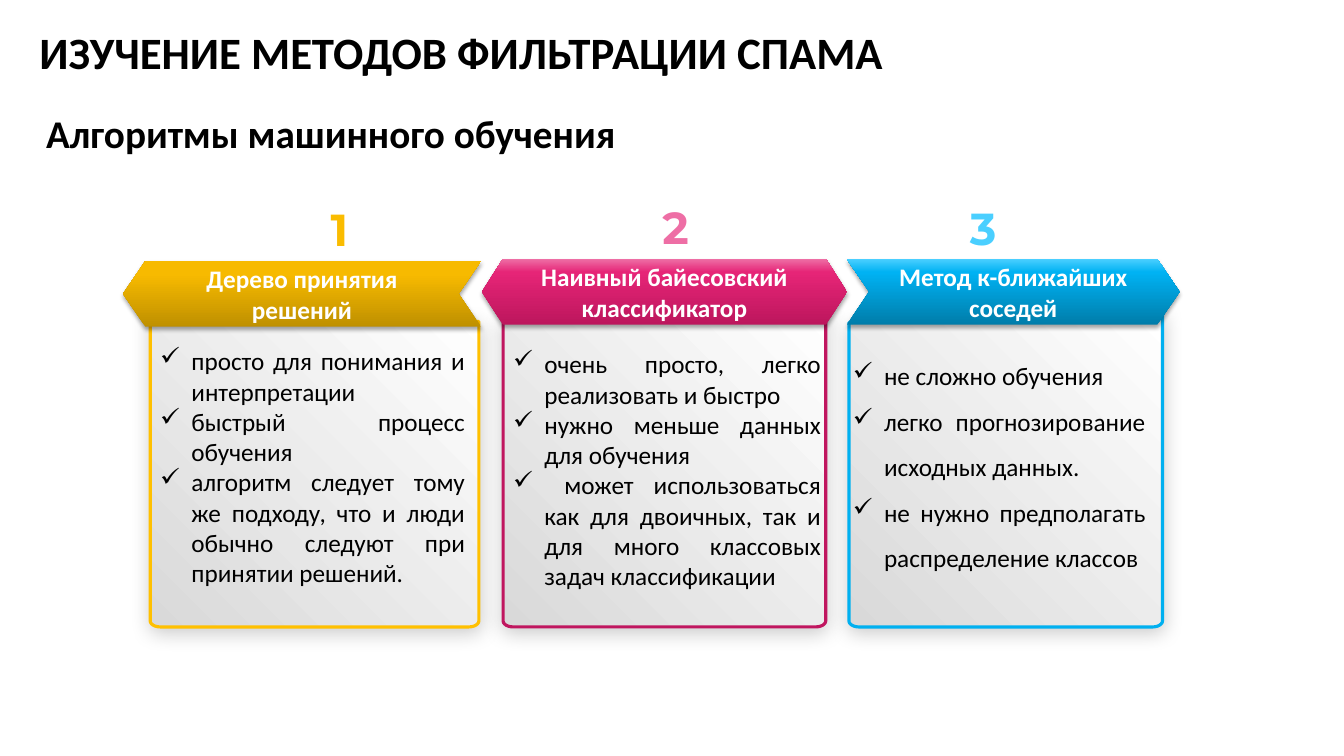
from dataclasses import dataclass
from math import cos, pi, sin

from lxml import etree
from pptx import Presentation
from pptx.dml.color import RGBColor
from pptx.enum.shapes import MSO_SHAPE
from pptx.enum.text import MSO_ANCHOR, PP_ALIGN
from pptx.oxml.ns import qn
from pptx.util import Inches, Pt

CHEVRON = MSO_SHAPE.CHEVRON
HEXAGON = MSO_SHAPE.HEXAGON
TOP = MSO_ANCHOR.TOP
MIDDLE = MSO_ANCHOR.MIDDLE
LEFT = PP_ALIGN.LEFT
CENTER = PP_ALIGN.CENTER
JUSTIFY = PP_ALIGN.JUSTIFY

HEADER_HEIGHT = 0.65
CARD_BOTTOM = 6.22
CARD_STOPS = [(0, "D9D9D9"), (100, "FFFFFF")]


@dataclass
class Method:
    number: str
    name: str
    points: list
    number_box: tuple
    header_box: tuple
    card_box: tuple
    points_box: tuple
    header_shape: int
    header_adjustment: float
    header_stops: list
    outline: str
    flipped: bool = False
    line_spacing: float = 1.0


METHODS = [
    Method(
        "1", "Дерево принятия решений",
        ["просто для понимания и интерпретации",
         "быстрый процесс обучения",
         "алгоритм следует тому же подходу, что и люди обычно следуют при принятии решений."],
        (3.18, 1.95, 0.39), (1.22, 2.59, 3.55), (1.49, 4.75, 3.08, 3.19),
        (1.49, 3.38, 3.22, 2.52), CHEVRON, 0.34,
        [(0, "BF9000"), (80, "F7BA00"), (100, "FABC00")], "FFC000", flipped=True),
    Method(
        "2", "Наивный байесовский классификатор",
        ["очень просто, легко реализовать и быстро",
         "нужно меньше данных для обучения",
         " может использоваться как для двоичных, так и для много классовых задач классификации"],
        (6.47, 1.93, 0.52), (4.78, 2.57, 3.62), (4.99, 8.19, 3.16, 3.05),
        (4.99, 3.41, 3.25, 2.52), HEXAGON, 0.318,
        [(0, "BD165D"), (80, "E62577"), (100, "EE6EA5")], "C0165F"),
    Method(
        "3", "Метод к-ближайших соседей",
        ["не сложно обучения",
         "легко прогнозирование исходных данных.",
         "не нужно предполагать распределение классов"],
        (9.52, 1.94, 0.52), (8.4, 2.57, 3.3), (8.42, 11.53, 3.2, 3.1),
        (8.36, 3.38, 3.1, 2.33), CHEVRON, 0.34,
        [(0, "007DAA"), (80, "00B2F3"), (100, "4ACFFF")], "00B0F0", line_spacing=1.5),
]


def color(value):
    return RGBColor.from_string(value)


def write_text(shape, *lines, size=18, font="Calibri", fill="000000", bold=False,
               align=LEFT, anchor=TOP, wrap=True, spacing=1.0, indent=0, bullet=None):
    frame = shape.text_frame
    frame.word_wrap = wrap
    frame.vertical_anchor = anchor
    for index, line in enumerate(lines):
        paragraph = frame.add_paragraph() if index else frame.paragraphs[0]
        paragraph.alignment = align
        paragraph.line_spacing = spacing
        run = paragraph.add_run()
        run.text = line
        run.font.size = Pt(size)
        run.font.name = font
        run.font.bold = bold
        run.font.color.rgb = color(fill)
        properties = paragraph._p.get_or_add_pPr()
        if indent:
            properties.set("marL", str(Inches(indent)))
        if bullet:
            properties.set("indent", str(-Inches(indent)))
            etree.SubElement(properties, qn("a:buChar"), char=bullet)


def add_color(parent, tag, value, **attributes):
    element = etree.SubElement(parent, qn(tag), **attributes)
    return etree.SubElement(element, qn("a:srgbClr"), val=value)


def fill_gradient(shape, stops, angle):
    shape.fill.gradient()
    shape.fill.gradient_angle = angle
    stop_list = shape._element.spPr.find(".//" + qn("a:gsLst"))
    for stop in list(stop_list):
        stop_list.remove(stop)
    for position, value in stops:
        add_color(stop_list, "a:gs", value, pos=str(position * 1000))


def add_shadow(shape, opacity, blur, distance):
    shape.shadow.inherit = False
    effects = shape._element.spPr.find(qn("a:effectLst"))
    shade = add_color(effects, "a:outerShdw", "000000", blurRad=str(Pt(blur)),
                      dist=str(Pt(distance)), dir="5400000", algn="t", rotWithShape="0")
    etree.SubElement(shade, qn("a:alpha"), val=str(opacity * 1000))


def add_text_box(slide, box, *lines, **text_format):
    text_box = slide.shapes.add_textbox(*map(Inches, box))
    write_text(text_box, *lines, **text_format)


def add_card(slide, box, outline):
    left, right, left_top, right_top = box
    radius_x, radius_y, steps = 0.1, 0.06, 6
    corners = [(left + radius_x, pi), (right - radius_x, pi / 2)]
    points = [(center + radius_x * cos(start - step * pi / 2 / steps),
               CARD_BOTTOM - radius_y + radius_y * sin(start - step * pi / 2 / steps))
              for center, start in corners for step in range(steps + 1)]
    points.append((right, right_top))
    builder = slide.shapes.build_freeform(Inches(left), Inches(left_top))
    builder.add_line_segments([(Inches(x), Inches(y)) for x, y in points], close=True)
    card = builder.convert_to_shape()
    fill_gradient(card, CARD_STOPS, 45)
    card.line.color.rgb = color(outline)
    card.line.width = Pt(2.25)
    add_shadow(card, 20, 14, 3)


def add_header(slide, method):
    box = map(Inches, (*method.header_box, HEADER_HEIGHT))
    header = slide.shapes.add_shape(method.header_shape, *box)
    header.adjustments[0] = method.header_adjustment
    if method.flipped:
        header._element.spPr.find(qn("a:xfrm")).set("flipH", "1")
    fill_gradient(header, method.header_stops, 90)
    header.line.fill.background()
    add_shadow(header, 35, 3.1, 1.8)
    write_text(header, method.name, fill="FFFFFF", bold=True, align=CENTER, anchor=MIDDLE)


def add_method(slide, method):
    add_text_box(slide, (*method.number_box, 0.65), method.number, size=32,
                 font="Montserrat", fill=method.header_stops[-1][1], bold=True, wrap=False)
    add_card(slide, method.card_box, method.outline)
    add_header(slide, method)
    add_text_box(slide, method.points_box, *method.points, align=JUSTIFY,
                 spacing=method.line_spacing, indent=0.31, bullet="✓")


def add_headings(slide):
    title = slide.shapes.title
    title.left, title.top, title.width, title.height = map(Inches, (0.29, 0.19, 8.98, 0.64))
    write_text(title, "ИЗУЧЕНИЕ МЕТОДОВ ФИЛЬТРАЦИИ СПАМА", size=32, bold=True)
    add_text_box(slide, (-0.14, 0.8, 7.3, 0.73), "Алгоритмы машинного обучения",
                 size=28, bold=True, spacing=1.5, indent=0.5)


def main():
    presentation = Presentation()
    presentation.slide_width = Inches(13.33)
    presentation.slide_height = Inches(7.5)
    slide = presentation.slides.add_slide(presentation.slide_layouts[5])
    add_headings(slide)
    for method in METHODS:
        add_method(slide, method)
    presentation.save("out.pptx")


if __name__ == "__main__":
    main()
